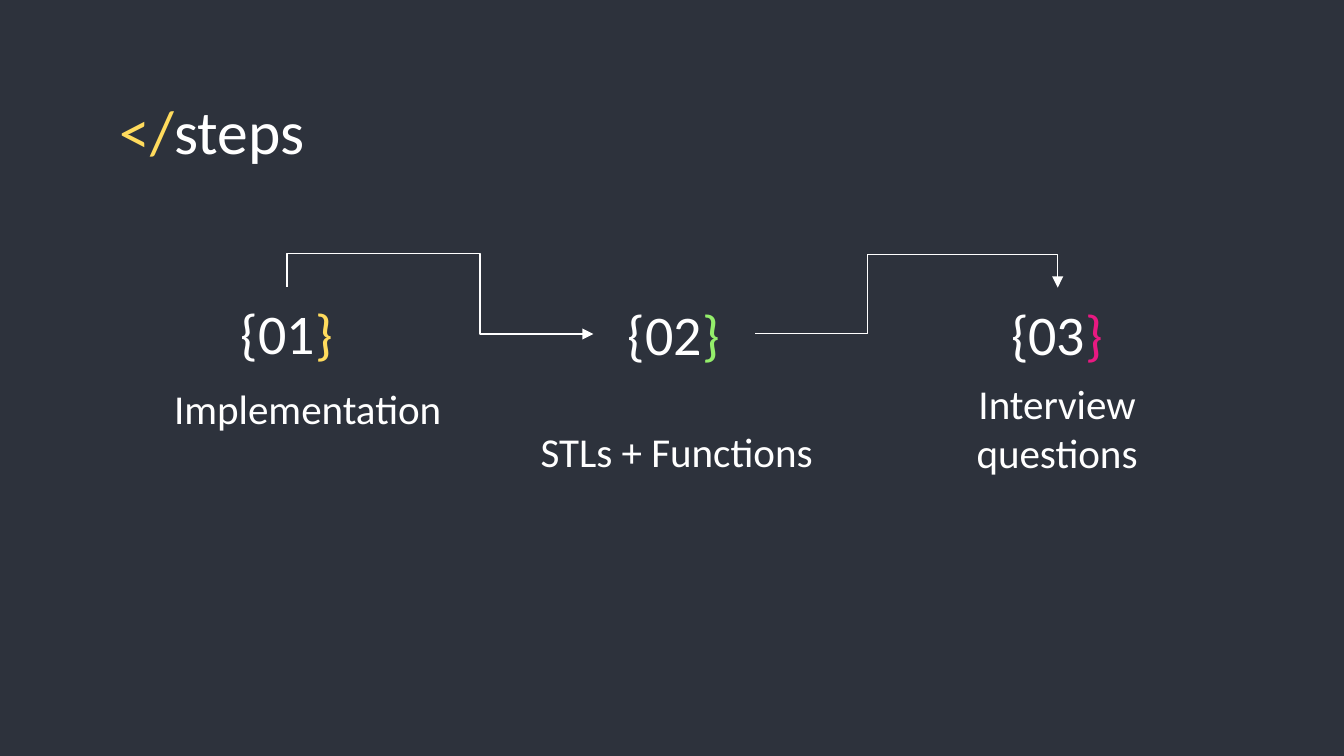
from lxml.etree import SubElement
from pptx import Presentation
from pptx.dml.color import RGBColor
from pptx.enum.shapes import MSO_CONNECTOR
from pptx.enum.text import MSO_ANCHOR, MSO_AUTO_SIZE, PP_ALIGN
from pptx.oxml.ns import qn
from pptx.util import Inches, Pt

NAVY = RGBColor(0x2D, 0x32, 0x3C)
WHITE = RGBColor(0xFF, 0xFF, 0xFF)
YELLOW = RGBColor(0xFF, 0xDB, 0x5D)
GREEN = RGBColor(0x94, 0xEE, 0x6B)
PINK = RGBColor(0xE8, 0x19, 0x81)
FONT = "Calibri"

STEPS = [
    ("01", YELLOW, (1.53, 2.13), ["Implementation"], (0.99, 2.82, 2.6)),
    ("02", GREEN, (4.41, 2.14), ["STLs + Functions"], (3.89, 3.14, 2.29)),
    ("03", PINK, (7.26, 2.14), ["Interview", "questions"], (6.72, 3.15, 2.29)),
]


def write_text(frame, lines, size=22, align=PP_ALIGN.CENTER, anchor=MSO_ANCHOR.BOTTOM):
    """Fill a frame with lines, each a list of (text, colour) runs."""
    frame.word_wrap = True
    frame.auto_size = MSO_AUTO_SIZE.NONE
    frame.vertical_anchor = anchor
    frame.margin_left = frame.margin_right = Inches(0.1)
    frame.margin_top = frame.margin_bottom = Inches(0.1)
    for index, line in enumerate(lines):
        paragraph = frame.add_paragraph() if index else frame.paragraphs[0]
        paragraph.alignment = align
        paragraph.space_before = Pt(0)
        paragraph.line_spacing = 1.0
        for text, colour in line:
            run = paragraph.add_run()
            run.text = text
            run.font.name = FONT
            run.font.size = Pt(size)
            run.font.color.rgb = colour


def add_title(slide):
    """Place the slide title with its accented opening tag."""
    title = slide.shapes.title
    title.left, title.top = Inches(0.79), Inches(0.59)
    title.width, title.height = Inches(8.43), Inches(0.63)
    write_text(title.text_frame, [[("</", YELLOW), ("steps", WHITE)]],
               size=33, align=PP_ALIGN.LEFT, anchor=MSO_ANCHOR.TOP)


def add_step(slide, number, accent, number_at, label_lines, label_at):
    """Group a step's label with its number in braces."""
    step = slide.shapes.add_group_shape()
    left, top, width = label_at
    label = step.shapes.add_textbox(Inches(left), Inches(top), Inches(width), Inches(0.5))
    write_text(label.text_frame, [[(line, WHITE)] for line in label_lines])
    left, top = number_at
    heading = step.shapes.add_textbox(Inches(left), Inches(top), Inches(1.21), Inches(0.69))
    write_text(heading.text_frame, [[("{" + number, WHITE), ("}", accent)]], size=30)


def add_elbow_arrow(slide, begin, end, bends, rotation=0):
    """Draw a four-segment elbow arrow; begin and end are given before rotation."""
    arrow = slide.shapes.add_connector(
        MSO_CONNECTOR.ELBOW, *(Inches(value) for value in begin + end))
    arrow.line.color.rgb = WHITE
    arrow.line.width = Pt(0.75)
    properties = arrow._element.spPr
    if rotation:
        properties.find(qn("a:xfrm")).set("rot", str(rotation * 60000))
    geometry = properties.find(qn("a:prstGeom"))
    geometry.set("prst", "bentConnector4")
    guides = geometry.find(qn("a:avLst"))
    if guides is None:
        guides = SubElement(geometry, qn("a:avLst"))
    for index, bend in enumerate(bends, start=1):
        SubElement(guides, qn("a:gd"), name=f"adj{index}", fmla=f"val {round(bend * 100000)}")
    SubElement(properties.find(qn("a:ln")), qn("a:tailEnd"), type="triangle")
    SubElement(properties, qn("a:effectLst"))


def main():
    """Build the steps slide and save it."""
    deck = Presentation()
    deck.slide_width = Inches(10)
    deck.slide_height = deck.slide_width * 9 // 16
    slide = deck.slides.add_slide(deck.slide_layouts[5])
    slide.background.fill.solid()
    slide.background.fill.fore_color.rgb = NAVY
    add_title(slide)
    for step in STEPS:
        add_step(slide, *step)
    add_elbow_arrow(slide, (3.45, 1.17), (3.1, 3.45), (-0.71, 0.63), rotation=270)
    add_elbow_arrow(slide, (5.62, 2.48), (7.87, 2.14), (0.37, 1.72))
    deck.save("out.pptx")


if __name__ == "__main__":
    main()
